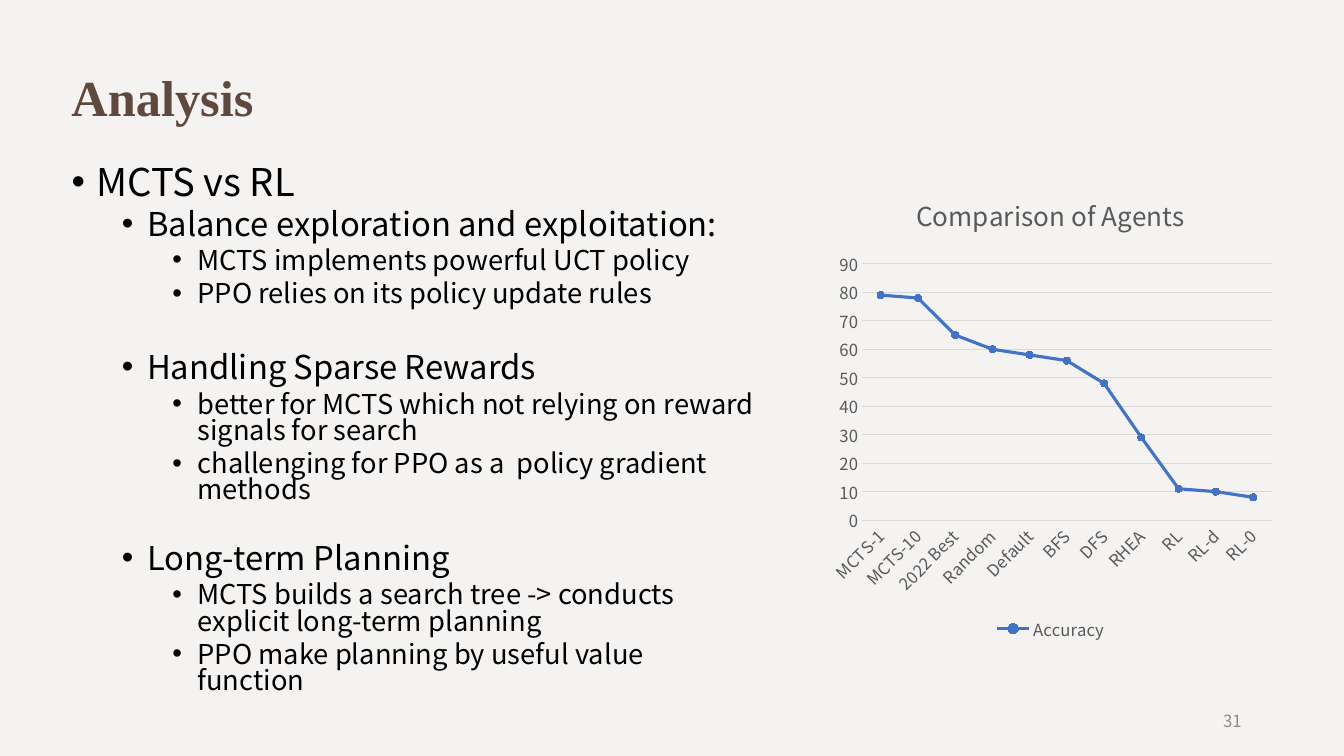
from pptx import Presentation
from pptx.chart.data import CategoryChartData
from pptx.dml.color import RGBColor
from pptx.enum.chart import XL_CHART_TYPE, XL_LEGEND_POSITION, XL_MARKER_STYLE, XL_TICK_MARK
from pptx.enum.text import MSO_ANCHOR, PP_ALIGN
from pptx.oxml.ns import qn
from pptx.util import Pt
from lxml.etree import SubElement

colors = {"back": "F5F3F1", "title": "5F493F", "text": "000000", "page": "8C8C8C",
          "label": "595959", "grid": "D9D9D9", "line": "4472C4"}
sans = "Noto Sans CJK SC"


def style(font, size, color, name=sans, bold=False):
    font.size = Pt(size)
    font.name = name
    font.bold = bold
    font.color.rgb = RGBColor.from_string(colors[color])


def add_box(left, top, width, height, anchor):
    frame = slide.shapes.add_textbox(Pt(left), Pt(top), Pt(width), Pt(height)).text_frame
    frame.word_wrap = True
    frame.vertical_anchor = anchor
    return frame


deck = Presentation()
deck.slide_width, deck.slide_height = Pt(960), Pt(540)
slide = deck.slides.add_slide(deck.slide_layouts[6])
slide.background.fill.solid()
slide.background.fill.fore_color.rgb = RGBColor.from_string(colors["back"])

title = add_box(44, 19.5, 828, 104.4, MSO_ANCHOR.MIDDLE)
title.text = "Analysis"
title.paragraphs[0].line_spacing = 0.9
style(title.paragraphs[0].runs[0].font, 36, "title", "Times New Roman", True)

page = add_box(678, 500.5, 216, 28.8, MSO_ANCHOR.MIDDLE)
page.text = "31"
page.paragraphs[0].alignment = PP_ALIGN.RIGHT
style(page.paragraphs[0].runs[0].font, 12, "page")

points = [
    (0, 10, "MCTS vs RL"),
    (1, 5, "Balance exploration and exploitation:"),
    (2, 5, "MCTS implements powerful UCT policy"),
    (2, 5, "PPO relies on its policy update rules"),
    (1, 32.7, "Handling Sparse Rewards"),
    (2, 5, "better for MCTS which not relying on reward signals for search"),
    (2, 5, "challenging for PPO as a  policy gradient methods"),
    (1, 28.9, "Long-term Planning"),
    (2, 5, "MCTS builds a search tree -> conducts explicit long-term planning"),
    (2, 5, "PPO make planning by useful value function"),
]
sizes = [27.3, 23.4, 19.5]
body = add_box(44, 116, 503, 376.6, MSO_ANCHOR.TOP)
body.text = "\n".join(text for level, gap, text in points)
for para, (level, gap, text) in zip(body.paragraphs, points):
    para.level = level
    para.line_spacing = 0.8
    para.space_before = Pt(gap)
    style(para.runs[0].font, sizes[level], "text")
    props = para._p.get_or_add_pPr()
    props.set("marL", str(Pt(18 + 36 * level)))
    props.set("indent", str(Pt(-18)))
    SubElement(props, qn("a:buFont")).set("typeface", "Arial")
    SubElement(props, qn("a:buChar")).set("char", "•")

data = CategoryChartData()
data.categories = ["MCTS-1", "MCTS-10", "2022 Best", "Random", "Default", "BFS",
                   "DFS", "RHEA", "RL", "RL-d", "RL-0"]
data.add_series("Accuracy", [79, 78, 65, 60, 58, 56, 48, 29, 11, 10, 8])
chart = slide.shapes.add_chart(XL_CHART_TYPE.LINE_MARKERS, Pt(586), Pt(124),
                               Pt(329), Pt(337), data).chart
style(chart.font, 10, "text")
chart.has_title = True
head = chart.chart_title.text_frame
head.text = "Comparison of Agents"
style(head.paragraphs[0].runs[0].font, 18.6, "label")
chart.has_legend = True
chart.legend.position = XL_LEGEND_POSITION.BOTTOM
chart.legend.include_in_layout = False
style(chart.legend.font, 11.9, "label")

cats, vals = chart.category_axis, chart.value_axis
for axis in (cats, vals):
    axis.major_tick_mark = axis.minor_tick_mark = XL_TICK_MARK.NONE
    style(axis.tick_labels.font, 11.9, "label")
vals.minimum_scale, vals.maximum_scale, vals.major_unit = 0, 90, 10
vals.format.line.fill.background()
for rule in (cats.format.line, vals.major_gridlines.format.line):
    rule.width = Pt(0.75)
    rule.color.rgb = RGBColor.from_string(colors["grid"])

plot = chart.plots[0]
plot.vary_by_categories = False
series = plot.series[0]
series.smooth = False
series.format.line.width = Pt(2.25)
series.marker.style = XL_MARKER_STYLE.CIRCLE
series.marker.size = 5
series.marker.format.fill.solid()
blue = RGBColor.from_string(colors["line"])
for part in (series.format.line.color, series.marker.format.fill.fore_color,
             series.marker.format.line.color):
    part.rgb = blue

deck.save("out.pptx")
